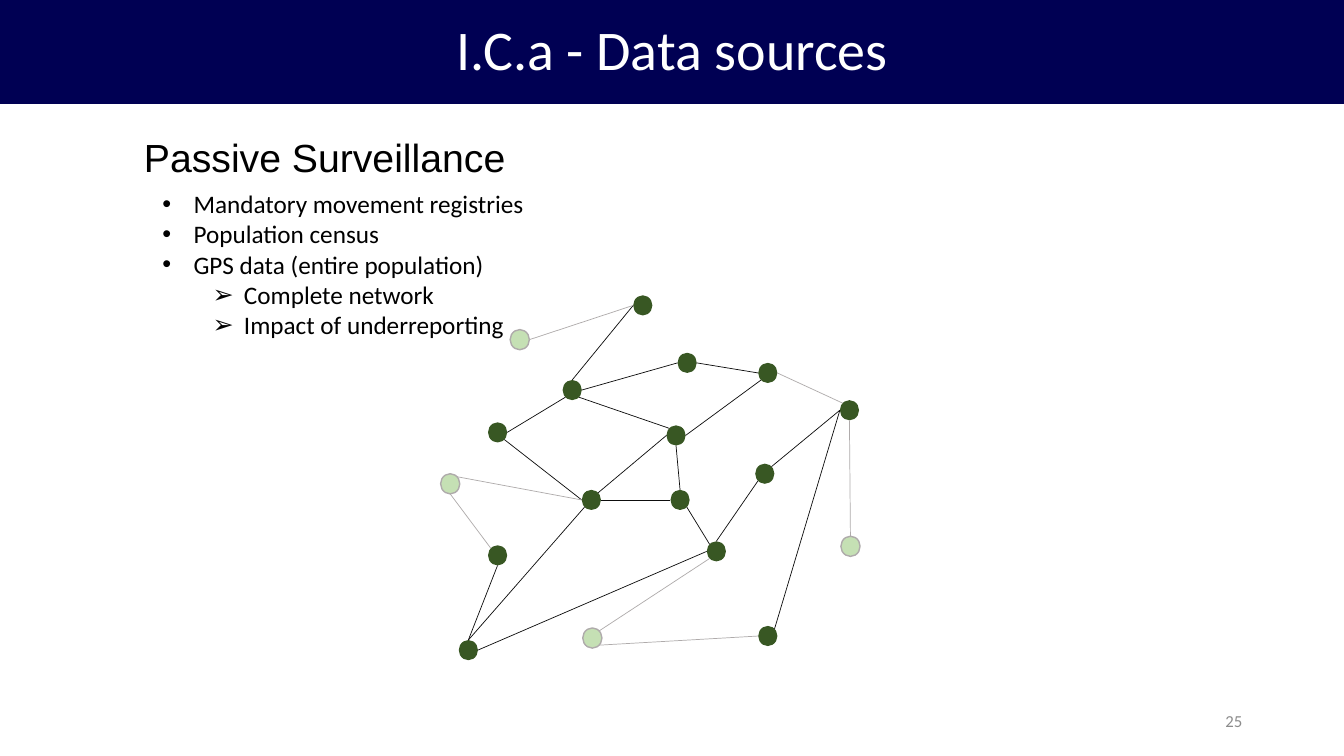
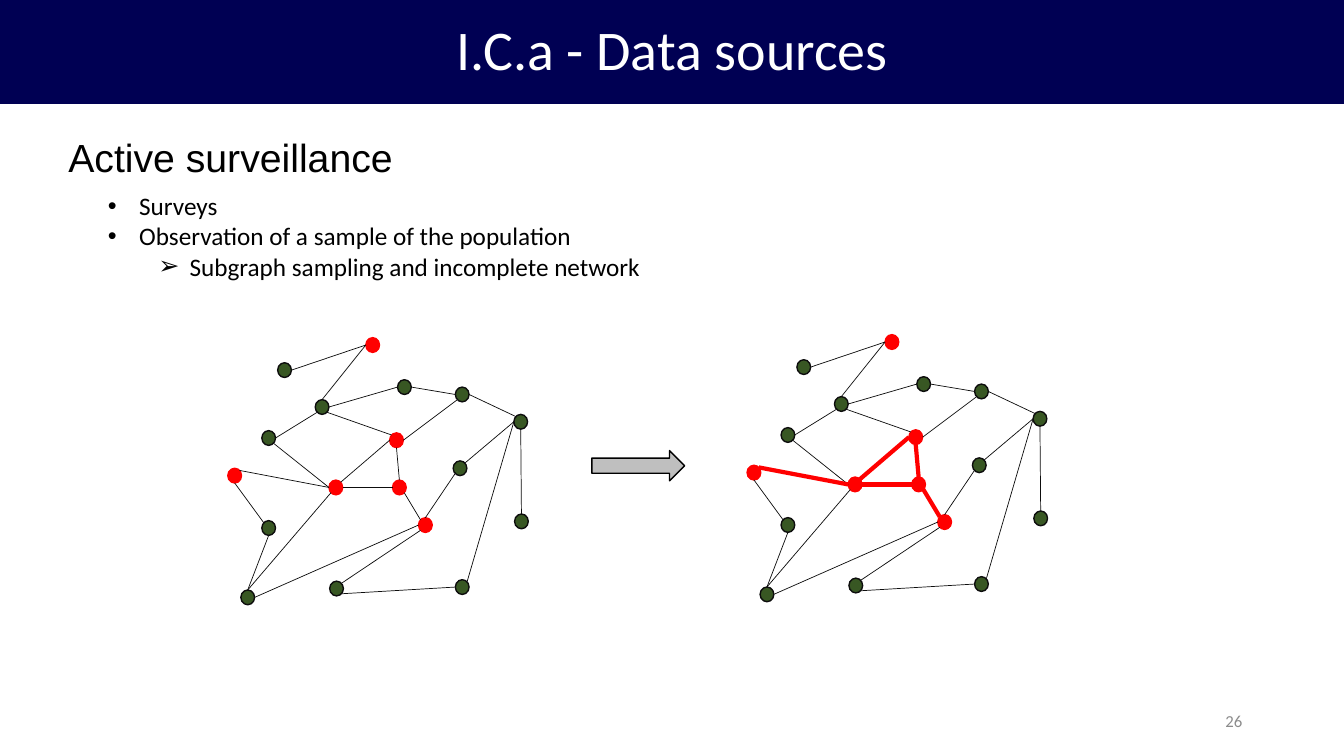
from dataclasses import dataclass
from math import cos, radians, sin
from typing import Any, NamedTuple

from lxml.etree import SubElement
from pptx import Presentation
from pptx.dml.color import RGBColor
from pptx.enum.shapes import MSO_CONNECTOR, MSO_SHAPE
from pptx.enum.text import MSO_ANCHOR, MSO_AUTO_SIZE, PP_ALIGN
from pptx.oxml.ns import qn
from pptx.util import Inches, Pt

NAVY, WHITE, BLACK, PAGE_GREY = "000053", "FFFFFF", "000000", "8C8C8C"
DARK_GREEN, PALE_GREEN, RED = "385723", "C5E0B4", "FF0000"
INK, FAINT, ARROW_GREY = "0D0D0D", "AFABAB", "BFBFBF"


class Box(NamedTuple):
    left: float
    top: float
    width: float
    height: float

    def lengths(self) -> list[int]:
        return [Inches(value) for value in self]


class Stroke(NamedTuple):
    color: str
    width: float


class NodeLook(NamedTuple):
    fill: str
    outline: Stroke | None


class Edge(NamedTuple):
    start: str
    start_side: str
    end: str
    end_side: str


@dataclass
class Network:
    frame: Box
    marked: str
    plain_node: NodeLook
    marked_node: NodeLook
    marked_edge: Stroke
    marked_pairs: set[str]


@dataclass
class Topic:
    page: str
    heading: str
    heading_box: Box
    list_box: Box
    points: list[tuple[int, str]]
    networks: list[Network]


SLIDE = Box(0, 0, 13.33, 7.5)
TITLE_BAND = Box(0, 0, 13.33, 1.03)
PAGE_BOX = Box(9.42, 6.95, 3, 0.4)
SURVEY_ARROW = Box(5.87, 4.47, 0.92, 0.3)

TITLE_FONT = {"size": Pt(40), "name": "Calibri"}
HEADING_FONT = {"size": Pt(28), "name": "Arial"}
LIST_FONT = {"size": Pt(18), "name": "Calibri"}
PAGE_FONT = {"size": Pt(12), "name": "Calibri"}
BULLETS = [("•", 0.31), ("➢", 0.81)]
HANGING = 0.31

NETWORK_WIDTH, NETWORK_HEIGHT = 4.16, 3.62
NODE_WIDTH, NODE_HEIGHT = 0.19, 0.2
NODES = {
    "A": (1.91, 0), "B": (0.47, 1.26), "C": (1.4, 1.93),
    "D": (0.47, 2.48), "E": (1.21, 0.84), "F": (2.64, 2.44),
    "G": (1.41, 3.3), "H": (2.24, 1.29), "I": (3.15, 3.28),
    "J": (3.12, 1.67), "K": (0.18, 3.42), "L": (3.96, 1.04),
    "M": (3.15, 0.67), "N": (0.69, 0.34), "O": (0, 1.77),
    "P": (2.28, 1.93), "Q": (2.35, 0.57), "R": (3.97, 2.39),
}
EDGES = [
    Edge(*ends.split())
    for ends in (
        "E n A w", "C w B se", "C ne H w", "H e M sw", "K n C sw", "K n D s",
        "F n J sw", "G ne F sw", "K e F w", "G se I w", "I ne L w", "B e E sw",
        "H nw E se", "J ne L w", "N e A w", "O ne C w", "O s D nw", "R n L s",
        "P n H s", "Q e M w", "E e Q w", "P se F nw", "M e L nw", "C e P w",
    )
]
SIDES = ["e", "se", "s", "sw", "w", "nw", "n", "ne"]
THIN = Stroke(INK, 0.5)

UNREPORTED = "GNOR"
SAMPLED = "ACFHOP"


def pairs_touching(nodes: str) -> set[str]:
    return {e.start + e.end for e in EDGES if e.start in nodes or e.end in nodes}


def pairs_within(nodes: str) -> set[str]:
    return {e.start + e.end for e in EDGES if e.start in nodes and e.end in nodes}


def survey_network(frame: Box, subgraph: Stroke) -> Network:
    return Network(
        frame, SAMPLED, NodeLook(DARK_GREEN, Stroke(INK, 1)),
        NodeLook(RED, Stroke(RED, 1)), subgraph, pairs_within(SAMPLED),
    )


TOPICS = [
    Topic(
        "25", "Passive Surveillance",
        Box(1.33, 1.27, 3.83, 0.57), Box(1.51, 1.82, 3.82, 1.62),
        [
            (0, "Mandatory movement registries"),
            (0, "Population census"),
            (0, "GPS data (entire population)"),
            (1, "Complete network"),
            (1, "Impact of underreporting"),
        ],
        [
            Network(
                Box(4.37, 2.93, NETWORK_WIDTH, NETWORK_HEIGHT), UNREPORTED,
                NodeLook(DARK_GREEN, None),
                NodeLook(PALE_GREEN, Stroke(FAINT, 1)),
                Stroke(FAINT, 0.5), pairs_touching(UNREPORTED) | {"ML"},
            )
        ],
    ),
    Topic(
        "26", "Active surveillance",
        Box(0.58, 1.27, 3.46, 0.57), Box(0.97, 1.84, 5.54, 1.01),
        [
            (0, "Surveys"),
            (0, "Observation of a sample of the population"),
            (1, "Subgraph sampling and incomplete network"),
        ],
        [
            survey_network(Box(2.26, 3.35, 2.98, 2.65), THIN),
            survey_network(Box(7.41, 3.32, 2.98, 2.65), Stroke(RED, 3)),
        ],
    ),
]


def assign(target: Any, values: dict[str, Any]) -> None:
    for name, value in values.items():
        setattr(target, name, value)


def paint(fill: Any, color: str) -> None:
    fill.solid()
    fill.fore_color.rgb = RGBColor.from_string(color)


def draw_stroke(line: Any, stroke: Stroke | None) -> None:
    if stroke is None:
        line.fill.background()
        return
    paint(line.fill, stroke.color)
    line.width = Pt(stroke.width)


def place(shape: Any, box: Box) -> None:
    assign(shape, dict(zip(("left", "top", "width", "height"), box.lengths())))


def write(paragraph: Any, text: str, font: dict[str, Any], color: str) -> None:
    run = paragraph.add_run()
    run.text = text
    assign(run.font, font)
    paint(run.font.fill, color)


def add_figure(shapes: Any, preset: Any, box: Box, look: NodeLook) -> None:
    figure = shapes.add_shape(preset, *box.lengths())
    figure.shadow.inherit = False
    paint(figure.fill, look.fill)
    draw_stroke(figure.line, look.outline)


def add_label(slide: Any, box: Box, text: str, font: dict[str, Any], color: str,
              frame_format: dict[str, Any], align: PP_ALIGN) -> None:
    frame = slide.shapes.add_textbox(*box.lengths()).text_frame
    assign(frame, frame_format)
    frame.paragraphs[0].alignment = align
    write(frame.paragraphs[0], text, font, color)


def add_title(slide: Any) -> None:
    title = slide.shapes.title
    place(title, TITLE_BAND)
    paint(title.fill, NAVY)
    assign(title.text_frame, {
        "vertical_anchor": MSO_ANCHOR.MIDDLE,
        "auto_size": MSO_AUTO_SIZE.NONE,
        "word_wrap": True,
    })
    paragraph = title.text_frame.paragraphs[0]
    assign(paragraph, {"alignment": PP_ALIGN.CENTER, "line_spacing": 0.9})
    write(paragraph, "I.C.a - Data sources", TITLE_FONT, WHITE)


def add_points(slide: Any, topic: Topic) -> None:
    body = slide.placeholders[1]
    place(body, topic.list_box)
    frame = body.text_frame
    assign(frame, {
        "vertical_anchor": MSO_ANCHOR.TOP,
        "auto_size": MSO_AUTO_SIZE.NONE,
        "word_wrap": False,
    })
    for index, (level, text) in enumerate(topic.points):
        paragraph = frame.add_paragraph() if index else frame.paragraphs[0]
        symbol, indent = BULLETS[level]
        properties = paragraph._p.get_or_add_pPr()
        properties.set("marL", str(Inches(indent)))
        properties.set("indent", str(-Inches(HANGING)))
        SubElement(properties, qn("a:buFont")).set("typeface", "Arial")
        SubElement(properties, qn("a:buChar")).set("char", symbol)
        assign(paragraph, {
            "level": level, "space_before": Pt(0), "alignment": PP_ALIGN.LEFT,
        })
        write(paragraph, text, LIST_FONT, BLACK)


def node_box(frame: Box, node: str) -> Box:
    across = frame.width / NETWORK_WIDTH
    down = frame.height / NETWORK_HEIGHT
    x, y = NODES[node]
    return Box(frame.left + x * across, frame.top + y * down,
               NODE_WIDTH * across, NODE_HEIGHT * down)


def rim_point(box: Box, side: str) -> list[int]:
    angle = radians(45 * SIDES.index(side))
    return [Inches(box.left + box.width * (1 + cos(angle)) / 2),
            Inches(box.top + box.height * (1 + sin(angle)) / 2)]


def add_network(slide: Any, network: Network) -> None:
    shapes = slide.shapes.add_group_shape().shapes
    boxes = {node: node_box(network.frame, node) for node in NODES}
    for node, box in boxes.items():
        look = network.marked_node if node in network.marked else network.plain_node
        add_figure(shapes, MSO_SHAPE.OVAL, box, look)
    for edge in EDGES:
        link = shapes.add_connector(
            MSO_CONNECTOR.STRAIGHT,
            *rim_point(boxes[edge.start], edge.start_side),
            *rim_point(boxes[edge.end], edge.end_side),
        )
        is_marked = edge.start + edge.end in network.marked_pairs
        draw_stroke(link.line, network.marked_edge if is_marked else THIN)
        SubElement(link._element.spPr, qn("a:effectLst"))


def add_topic(deck: Any, topic: Topic) -> None:
    slide = deck.slides.add_slide(deck.slide_layouts[1])
    add_title(slide)
    add_label(slide, PAGE_BOX, topic.page, PAGE_FONT, PAGE_GREY,
              {"word_wrap": True, "vertical_anchor": MSO_ANCHOR.MIDDLE},
              PP_ALIGN.RIGHT)
    add_label(slide, topic.heading_box, topic.heading, HEADING_FONT, BLACK,
              {"word_wrap": False, "auto_size": MSO_AUTO_SIZE.SHAPE_TO_FIT_TEXT},
              PP_ALIGN.LEFT)
    add_points(slide, topic)
    for network in topic.networks:
        add_network(slide, network)
    if len(topic.networks) > 1:
        add_figure(slide.shapes, MSO_SHAPE.RIGHT_ARROW, SURVEY_ARROW,
                   NodeLook(ARROW_GREY, Stroke(BLACK, 1)))


def main() -> None:
    deck = Presentation()
    assign(deck, {"slide_width": Inches(SLIDE.width),
                  "slide_height": Inches(SLIDE.height)})
    for topic in TOPICS:
        add_topic(deck, topic)
    deck.save("out.pptx")


if __name__ == "__main__":
    main()
